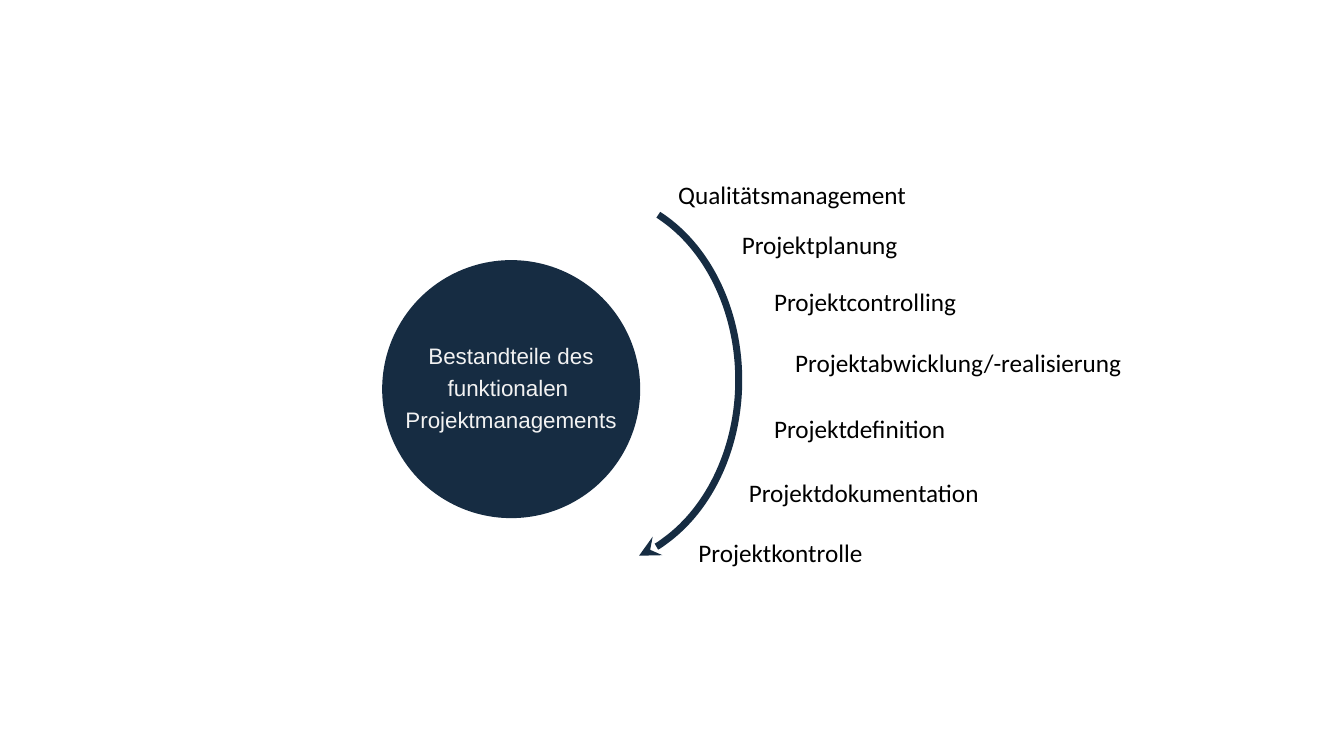
from lxml import etree
from pptx import Presentation
from pptx.dml.color import RGBColor
from pptx.enum.shapes import MSO_SHAPE
from pptx.enum.text import MSO_AUTO_SIZE, PP_ALIGN
from pptx.oxml.ns import qn
from pptx.util import Pt

ELLIPSE, ARC = MSO_SHAPE.OVAL, MSO_SHAPE.ARC
CENTER = PP_ALIGN.CENTER
FIT_SHAPE = MSO_AUTO_SIZE.SHAPE_TO_FIT_TEXT
NAVY, PALE, BLACK = "162C42", "F2F2F2", "000000"
TOPIC = ["Bestandteile des", "funktionalen ", "Projektmanagements"]
LABEL_HEIGHT = 29
LABELS = [
    ("Qualitätsmanagement", 0, 0, 192.2),
    ("Projektplanung", 45.4, 35.3, 135.4),
    ("Projektcontrolling", 68.4, 76.3, 154.1),
    ("Projektabwicklung/-realisierung", 83.5, 120.2, 265.7),
    ("Projektdefinition", 68.4, 167, 144),
    ("Projektdokumentation", 50.4, 213.1, 190.1),
    ("Projektkontrolle", 14.4, 255.6, 139.7),
]


def color(value):
    return RGBColor.from_string(value)


def add_text(s, box, lines, font, size, rgb, wrap=True, align=None, before=0):
    sp = s.shapes.add_textbox(*map(Pt, box))
    tf = sp.text_frame
    tf.word_wrap = wrap
    tf.auto_size = FIT_SHAPE
    tf.text = "\n".join(lines)
    for p in tf.paragraphs:
        p.alignment = align
        p.space_before = Pt(before)
        for r in p.runs:
            r.font.name = font
            r.font.size = Pt(size)
            r.font.color.rgb = color(rgb)


def add_topic(s, x, y, size):
    sp = s.shapes.add_shape(ELLIPSE, Pt(x), Pt(y), Pt(size), Pt(size))
    sp.shadow.inherit = False
    sp.fill.solid()
    sp.fill.fore_color.rgb = color(NAVY)
    sp.line.fill.background()
    box = (x + 0.6, y + 54.7, size - 1.4, 73.4)
    add_text(s, box, TOPIC, "Arial", 16, PALE, align=CENTER, before=3.7)


def add_arc_arrow(s, x, y, w, h):
    sp = s.shapes.add_shape(ARC, Pt(x), Pt(y), Pt(w), Pt(h))
    sp.shadow.inherit = False
    sp.adjustments[0] = 171.071
    sp.adjustments[1] = 40.823
    sp.fill.background()
    sp.line.color.rgb = color(NAVY)
    sp.line.width = Pt(5)
    sp._element.spPr.find(qn("a:xfrm")).set("flipV", "1")
    ln = sp._element.spPr.find(qn("a:ln"))
    etree.SubElement(ln, qn("a:headEnd"), type="stealth")


def add_labels(s, x, y):
    for text, dx, dy, w in LABELS:
        box = (x + dx, y + dy, w, LABEL_HEIGHT)
        add_text(s, box, [text], "Calibri", 18, BLACK, wrap=False)


def main():
    prs = Presentation()
    prs.slide_width, prs.slide_height = Pt(960), Pt(540)
    s = prs.slides.add_slide(prs.slide_layouts[6])
    add_topic(s, 273, 185.8, 184.3)
    add_arc_arrow(s, 317.5, 139, 210.2, 265)
    add_labels(s, 477.4, 124.6)
    prs.save("out.pptx")


if __name__ == "__main__":
    main()
